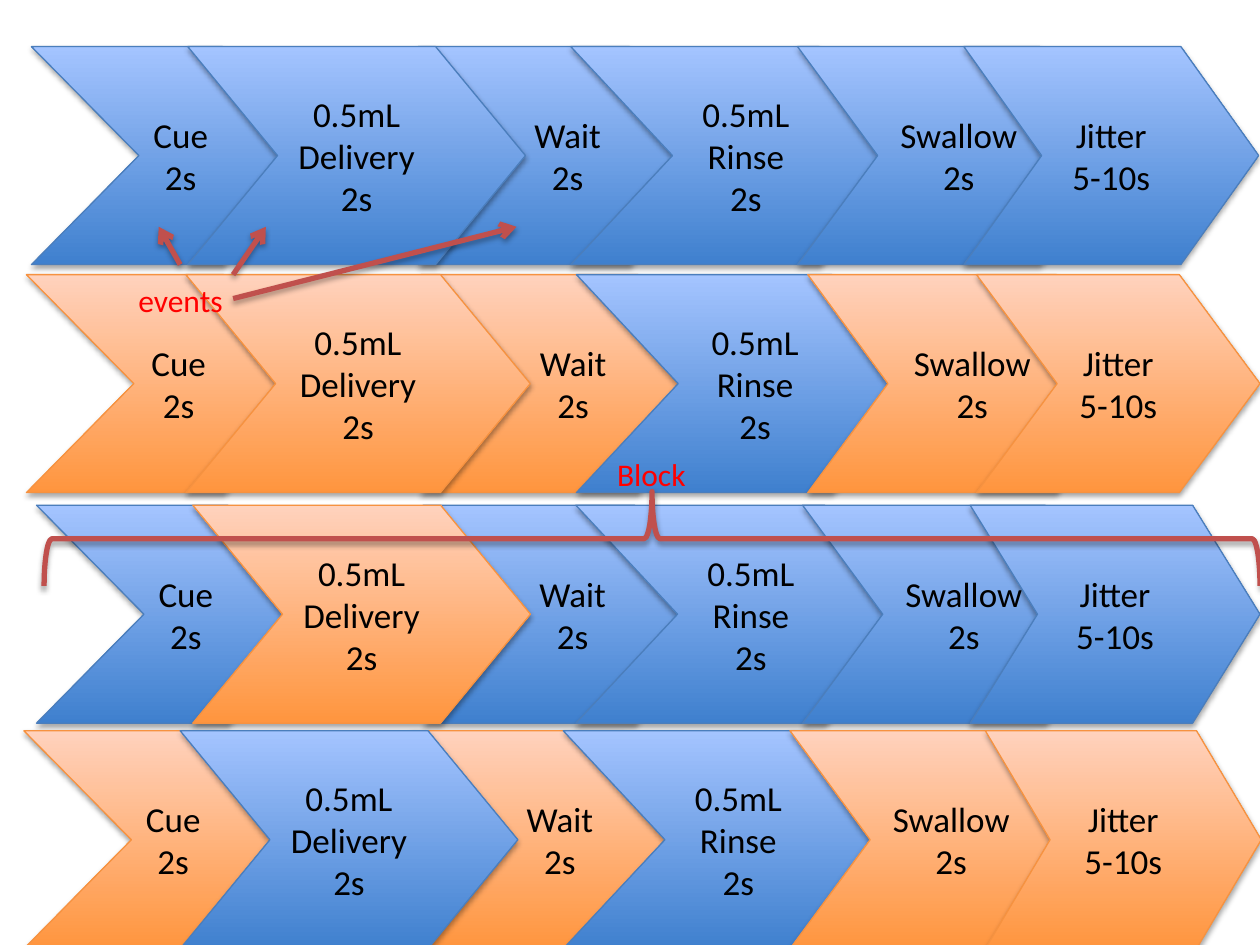
from pptx import Presentation
from pptx.dml.color import RGBColor
from pptx.enum.shapes import MSO_CONNECTOR, MSO_SHAPE
from pptx.enum.text import MSO_ANCHOR, MSO_AUTO_SIZE, PP_ALIGN
from pptx.oxml import parse_xml
from pptx.oxml.ns import nsdecls
from pptx.util import Inches, Pt

CHEVRON, BRACE = MSO_SHAPE.CHEVRON, MSO_SHAPE.RIGHT_BRACE
STRAIGHT = MSO_CONNECTOR.STRAIGHT
LEFT, CENTER = PP_ALIGN.LEFT, PP_ALIGN.CENTER
MIDDLE = MSO_ANCHOR.MIDDLE
FIT_SHAPE = MSO_AUTO_SIZE.SHAPE_TO_FIT_TEXT

FONT = "Calibri"
COLORS = {"text": "000000", "label": "FF0000", "mark": "C0504D"}
# Gradient bottom, gradient top, outline
STYLES = {
    "blue": ("3F80CE", "A4C4FF", "4B7EBC"),
    "orange": ("FF953E", "FFD2BD", "F69240"),
}

# Text, offset from the row's left edge, width, point depth; from back to front
STEPS = [
    ("Cue\n2s", 0, 2.37, 0.493),
    ("Wait\n2s", 3.07, 2.37, 0.401),
    ("0.5mL\nDelivery\n2s", 1.24, 2.68, 0.412),
    ("0.5mL\nRinse\n2s", 4.28, 2.78, 0.467),
    ("Swallow\n2s", 6.08, 2.56, 0.368),
]
JITTER_TEXT = "Jitter\n5-10s"
ROW_HEIGHT = 1.73
# Left, top, horizontal scale, jitter (left, width, depth), colours in step order
ROWS = [
    (0.25, 0.37, 1, (7.65, 2.34, 0.357), ["blue"] * 6),
    (0.21, 2.18, 1.02, (7.75, 2.25, 0.37),
     ["orange", "orange", "orange", "blue", "orange", "orange"]),
    (0.29, 4.01, 1, (7.7, 2.3, 0.309),
     ["blue", "blue", "orange", "blue", "blue", "blue"]),
    (0.19, 5.8, 1, (7.82, 2.19, 0.297),
     ["orange", "orange", "blue", "blue", "orange", "orange"]),
]
EVENT_ARROWS = [
    ((1.43, 2.1), (1.26, 1.8)),
    ((1.85, 2.18), (2.11, 1.8)),
    ((1.85, 2.37), (4.1, 1.8)),
]


def rgb(name):
    return RGBColor.from_string(COLORS.get(name, name))


def add_shadow(sp):
    sp.element.spPr.append(parse_xml(
        f'<a:effectLst {nsdecls("a")}>'
        '<a:outerShdw blurRad="40000" dist="23000" dir="5400000" rotWithShape="0">'
        '<a:srgbClr val="000000"><a:alpha val="35000"/></a:srgbClr>'
        '</a:outerShdw></a:effectLst>'))


def set_line(sp, color, width):
    sp.line.color.rgb = rgb(color)
    sp.line.width = Pt(width)


def set_text(tf, text, size, color, align):
    tf.text = text
    tf.word_wrap = True
    for p in tf.paragraphs:
        p.alignment = align
        for r in p.runs:
            r.font.name = FONT
            r.font.size = Pt(size)
            r.font.color.rgb = rgb(color)


def add_chevron(shapes, text, x, y, width, depth, style):
    bottom, top, outline = STYLES[style]
    sp = shapes.add_shape(CHEVRON, Inches(x), Inches(y), Inches(width), Inches(ROW_HEIGHT))
    sp.adjustments[0] = depth
    sp.fill.gradient()
    sp.fill.gradient_angle = 90
    for stop, color in zip(sp.fill.gradient_stops, (bottom, top)):
        stop.color.rgb = rgb(color)
    set_line(sp, outline, 0.75)
    add_shadow(sp)
    set_text(sp.text_frame, text, 20, "text", CENTER)
    sp.text_frame.vertical_anchor = MIDDLE


def add_row(slide, left, top, scale, jitter, styles):
    shapes = slide.shapes.add_group_shape().shapes
    steps = [(text, left + offset * scale, width * scale, depth)
             for text, offset, width, depth in STEPS]
    steps.append((JITTER_TEXT, *jitter))
    for (text, x, width, depth), style in zip(steps, styles):
        add_chevron(shapes, text, x, top, width, depth, style)


def add_label(slide, text, x, y, width, align):
    box = slide.shapes.add_textbox(Inches(x), Inches(y), Inches(width), Inches(0.4))
    set_text(box.text_frame, text, 18, "label", align)
    box.text_frame.auto_size = FIT_SHAPE


def add_arrow(slide, start, end):
    line = slide.shapes.add_connector(STRAIGHT, *map(Inches, start + end))
    set_line(line, "mark", 3)
    line.line._get_or_add_ln().append(
        parse_xml(f'<a:tailEnd {nsdecls("a")} type="arrow"/>'))
    add_shadow(line)


def add_block_brace(slide):
    sp = slide.shapes.add_shape(BRACE, Inches(4.8), Inches(-0.55), Inches(0.75), Inches(9.65))
    sp.rotation = 270
    sp.fill.background()
    set_line(sp, "mark", 3)
    add_shadow(sp)


def main():
    prs = Presentation()
    prs.slide_width, prs.slide_height = Inches(10), Inches(7.5)
    slide = prs.slides.add_slide(prs.slide_layouts[6])
    for row in ROWS:
        add_row(slide, *row)
    add_label(slide, "events", 1, 2.18, 1.11, LEFT)
    for start, end in EVENT_ARROWS:
        add_arrow(slide, start, end)
    add_block_brace(slide)
    add_label(slide, "Block", 4.16, 3.56, 2.02, CENTER)
    prs.save("out.pptx")


if __name__ == "__main__":
    main()
